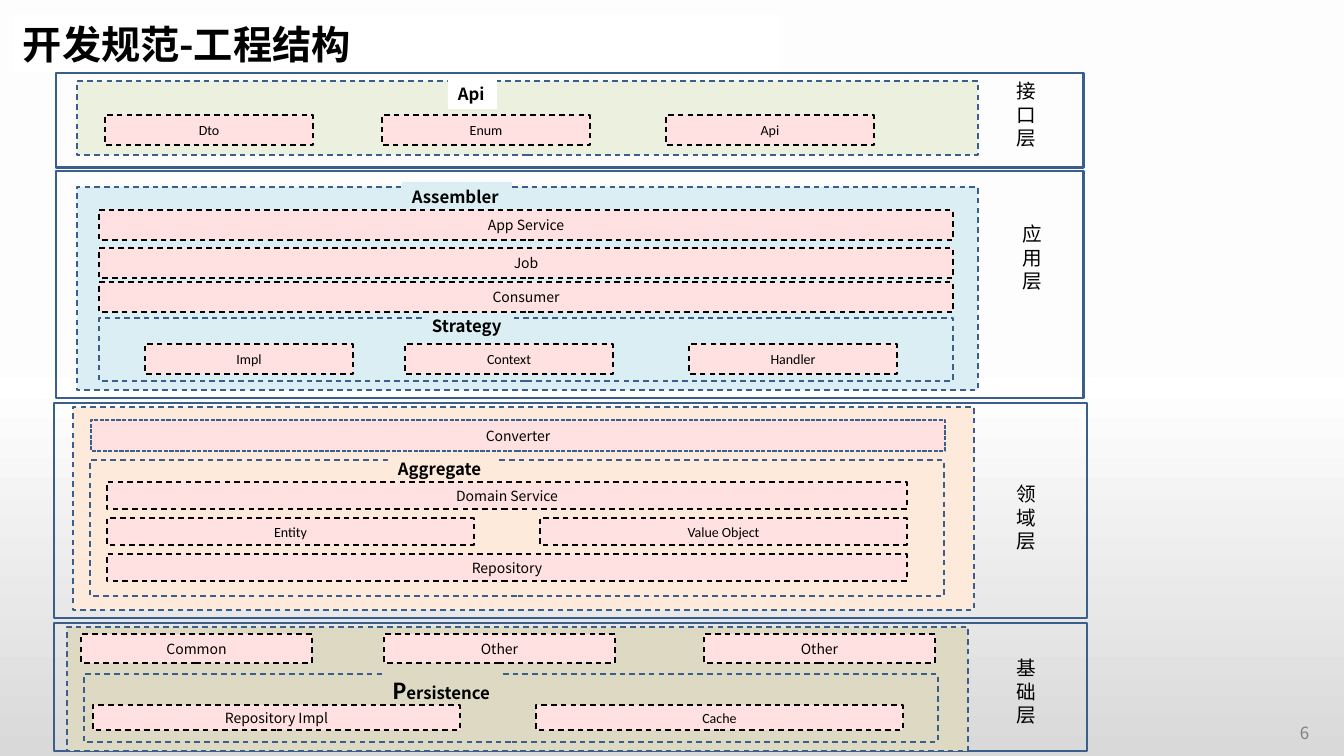
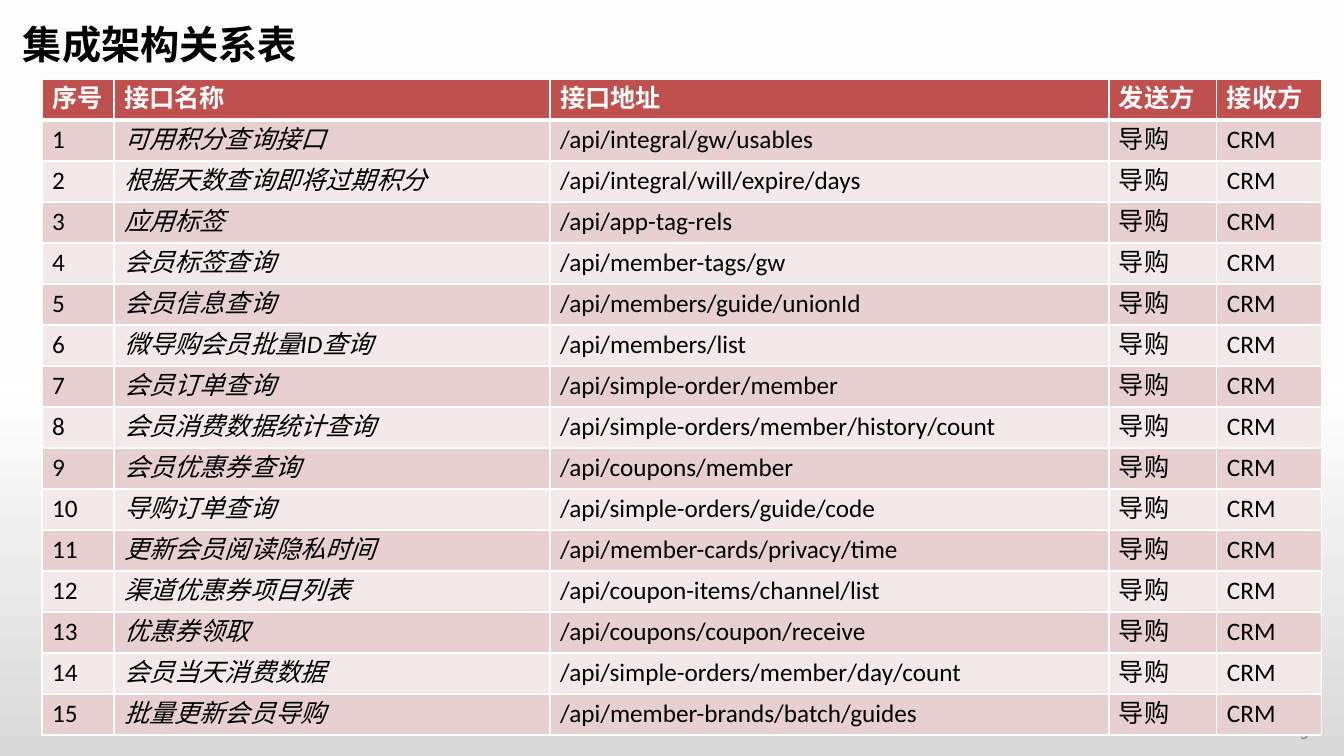
from copy import deepcopy

from lxml.etree import SubElement
from pptx import Presentation
from pptx.dml.color import RGBColor
from pptx.enum.dml import MSO_LINE
from pptx.enum.shapes import MSO_SHAPE
from pptx.enum.text import MSO_ANCHOR, PP_ALIGN
from pptx.oxml.ns import qn
from pptx.util import Pt

BLACK = RGBColor(0x00, 0x00, 0x00)
WHITE = RGBColor(0xFF, 0xFF, 0xFF)
GRAY = RGBColor(0x80, 0x80, 0x80)
BG_TOP = RGBColor(0xFD, 0xFD, 0xFD)
BG_BOTTOM = RGBColor(0xD9, 0xD9, 0xD9)
NAVY = RGBColor(0x3A, 0x5F, 0x8C)
PINK = RGBColor(0xFF, 0xE1, 0xE1)
GREEN = RGBColor(0xEB, 0xF1, 0xDE)
BLUE = RGBColor(0xDB, 0xEE, 0xF4)
ORANGE = RGBColor(0xFD, 0xEA, 0xDA)
KHAKI = RGBColor(0xDD, 0xD9, 0xC3)
RED = RGBColor(0xC0, 0x50, 0x4D)
ROW_DARK = RGBColor(0xE8, 0xD0, 0xD0)
ROW_LIGHT = RGBColor(0xF4, 0xE9, 0xE9)

SANS = "Noto Sans CJK SC"
CALIBRI = "Calibri"
LEADING = 1.2
SCALE = 914400 / 100.8


def px(length):
    return round(length * SCALE)


class Deck:
    """Holds the style and the current slide."""

    def __init__(self):
        self.prs = Presentation()
        self.prs.slide_width, self.prs.slide_height = px(1344), px(756)
        self.slide = None

    def new_slide(self, title, number, title_fill=None):
        self.slide = self.prs.slides.add_slide(self.prs.slide_layouts[6])
        self.background()
        self.label(number, 1290, 718, 51, 29, size=12, color=GRAY)
        frame = self.label(title, 13, 15, 767, 57, size=28, bold=True,
                           fill=title_fill)
        frame.vertical_anchor = MSO_ANCHOR.MIDDLE
        frame.word_wrap = True

    def background(self):
        fill = self.slide.background.fill
        fill.gradient()
        fill.gradient_angle = 270
        first, last = fill.gradient_stops
        first.color.rgb, first.position = BG_TOP, 0
        last.color.rgb, last.position = BG_BOTTOM, 1
        stops = self.slide.element.find(".//" + qn("a:gsLst"))
        middle = deepcopy(stops[0])
        middle.set("pos", "50000")
        middle[0].set("val", str(WHITE))
        stops.insert(1, middle)

    def style_run(self, run, size, font, color=BLACK, bold=False, italic=False):
        run.font.size, run.font.name = Pt(size), font
        run.font.bold, run.font.italic = bold, italic
        run.font.color.rgb = color
        SubElement(run.font._element, qn("a:ea")).set("typeface", font)

    def fill_text(self, frame, text, size, font=SANS, align=PP_ALIGN.LEFT, **style):
        frame.text = text
        for paragraph in frame.paragraphs:
            paragraph.alignment = align
            paragraph.line_spacing = Pt(size * LEADING)
            for run in paragraph.runs:
                self.style_run(run, size, font, **style)

    def label(self, text, x, y, w, h, size, fill=None, **style):
        box = self.slide.shapes.add_textbox(px(x), px(y), px(w), px(h))
        if fill is not None:
            box.fill.solid()
            box.fill.fore_color.rgb = fill
        box.text_frame.word_wrap = False
        self.fill_text(box.text_frame, text, size, **style)
        return box.text_frame

    def rect(self, x, y, w, h, fill=None, line=NAVY, width=1, dash=MSO_LINE.DASH):
        shape = self.slide.shapes.add_shape(
            MSO_SHAPE.RECTANGLE, px(x), px(y), px(w), px(h))
        shape.shadow.inherit = False
        if fill is None:
            shape.fill.background()
        else:
            shape.fill.solid()
            shape.fill.fore_color.rgb = fill
        shape.line.color.rgb, shape.line.width = line, Pt(width)
        shape.line.dash_style = dash
        return shape

    def layer(self, name, x, y, w, h, name_x, name_y):
        self.rect(x, y, w, h, width=2, dash=MSO_LINE.SOLID)
        self.label("\n".join(name), name_x, name_y, 40, 82, size=14)

    def module(self, text, x, y, w, h, font=SANS, **border):
        shape = self.rect(x, y, w, h, PINK, **(border or {"line": BLACK}))
        frame = shape.text_frame
        frame.word_wrap = True
        frame.vertical_anchor = MSO_ANCHOR.MIDDLE
        self.fill_text(frame, text, 10, font, PP_ALIGN.CENTER)

    def module_row(self, names, lefts, y, w, h, font=CALIBRI):
        for name, x in zip(names, lefts):
            self.module(name, x, y, w, h, font)

    def heading(self, text, x, y, w, h, fill):
        return self.label(text, x, y, w, h, size=12, bold=True, fill=fill)

    def cell(self, cell, text, fill, bottom=1, **style):
        cell.fill.solid()
        cell.fill.fore_color.rgb = fill
        self.fill_text(cell.text_frame, text, 18, CALIBRI, **style)
        props = cell._tc.get_or_add_tcPr()
        edges = (("a:lnL", 1), ("a:lnR", 1), ("a:lnT", 1), ("a:lnB", bottom))
        for index, (tag, width) in enumerate(edges):
            edge = SubElement(props, qn(tag), w=str(int(Pt(width))))
            solid = SubElement(edge, qn("a:solidFill"))
            SubElement(solid, qn("a:srgbClr"), val=str(WHITE))
            props.insert(index, edge)

    def table(self, x, y, widths, row_height, header, rows, italic_column):
        frame = self.slide.shapes.add_table(
            len(rows) + 1, len(widths), px(x), px(y),
            px(sum(widths)), px(row_height * (len(rows) + 1)))
        grid = frame.table
        for column, width in zip(grid.columns, widths):
            column.width = px(width)
        for row in grid.rows:
            row.height = px(row_height)
        for c, text in enumerate(header):
            self.cell(grid.cell(0, c), text, RED, bottom=3, color=WHITE, bold=True)
        for r, row in enumerate(rows, 1):
            fill = ROW_DARK if r % 2 else ROW_LIGHT
            for c, text in enumerate(row):
                self.cell(grid.cell(r, c), text, fill, italic=c == italic_column)


def project_structure(deck):
    deck.new_slide("开发规范-工程结构", "6", title_fill=WHITE)

    # Interface layer
    deck.layer("接口层", 56, 73, 1028, 95, 1007, 74)
    deck.rect(77, 81, 901, 74, GREEN)
    deck.module_row(["Dto", "Enum", "Api"], [105, 382, 666], 115, 208, 30)
    deck.heading("Api", 448, 79, 49, 30, WHITE)

    # Application layer
    deck.layer("应用层", 56, 171, 1028, 227, 1013, 217)
    deck.rect(77, 187, 901, 203, BLUE)
    deck.heading("Assembler", 402, 182, 110, 30, BLUE)
    deck.rect(99, 318, 854, 63, BLUE)
    deck.heading("Strategy", 422, 311, 92, 30, BLUE)
    deck.module_row(["Impl", "Context", "Handler"], [145, 405, 689], 344, 208, 30)
    for name, y in (("App Service", 210), ("Job", 248), ("Consumer", 282)):
        deck.module(name, 99, y, 854, 30)

    # Domain layer
    deck.layer("领域层", 54, 403, 1033, 215, 1007, 477)
    deck.rect(73, 407, 901, 203, ORANGE)
    deck.module("Converter", 91, 420, 854, 31, line=NAVY, dash=MSO_LINE.SQUARE_DOT)
    deck.rect(90, 460, 854, 136, ORANGE)
    deck.heading("Aggregate", 388, 454, 111, 30, ORANGE)
    deck.module("Domain Service", 107, 482, 800, 27)
    deck.module_row(["Entity", "Value Object"], [107, 540], 518, 367, 27)
    deck.module("Repository", 107, 554, 800, 27)

    # Infrastructure layer
    deck.layer("基础层", 54, 623, 1033, 128, 1007, 651)
    deck.rect(67, 627, 901, 124, KHAKI)
    deck.rect(84, 674, 854, 68, KHAKI)
    initial = deck.heading("P", 383, 669, 119, 40, KHAKI).paragraphs[0]
    initial.line_spacing = Pt(18 * LEADING)
    initial.runs[0].font.size = Pt(18)
    initial.runs[0].font.name = CALIBRI
    rest = initial.add_run()
    rest.text = "ersistence"
    deck.style_run(rest, 12, SANS, bold=True)
    deck.module("Repository Impl", 93, 705, 367, 25)
    deck.module("Cache", 536, 705, 367, 25, CALIBRI)
    deck.module_row(["Common", "Other", "Other"], [81, 384, 704], 634, 231, 29, SANS)


def integration_table(deck):
    deck.new_slide("集成架构关系表", "9")
    interfaces = [
        ("可用积分查询接口", "/api/integral/gw/usables"),
        ("根据天数查询即将过期积分", "/api/integral/will/expire/days"),
        ("应用标签", "/api/app-tag-rels"),
        ("会员标签查询", "/api/member-tags/gw"),
        ("会员信息查询", "/api/members/guide/unionId"),
        ("微导购会员批量ID查询", "/api/members/list"),
        ("会员订单查询", "/api/simple-order/member"),
        ("会员消费数据统计查询", "/api/simple-orders/member/history/count"),
        ("会员优惠券查询", "/api/coupons/member"),
        ("导购订单查询", "/api/simple-orders/guide/code"),
        ("更新会员阅读隐私时间", "/api/member-cards/privacy/time"),
        ("渠道优惠券项目列表", "/api/coupon-items/channel/list"),
        ("优惠券领取", "/api/coupons/coupon/receive"),
        ("会员当天消费数据", "/api/simple-orders/member/day/count"),
        ("批量更新会员导购", "/api/member-brands/batch/guides"),
    ]
    rows = [(str(number), name, address, "导购", "CRM")
            for number, (name, address) in enumerate(interfaces, 1)]
    deck.table(42, 79, [72, 436, 559, 108, 105], 41,
               ["序号", "接口名称", "接口地址", "发送方", "接收方"], rows,
               italic_column=1)


def main():
    deck = Deck()
    project_structure(deck)
    integration_table(deck)
    deck.prs.save("out.pptx")


if __name__ == "__main__":
    main()
